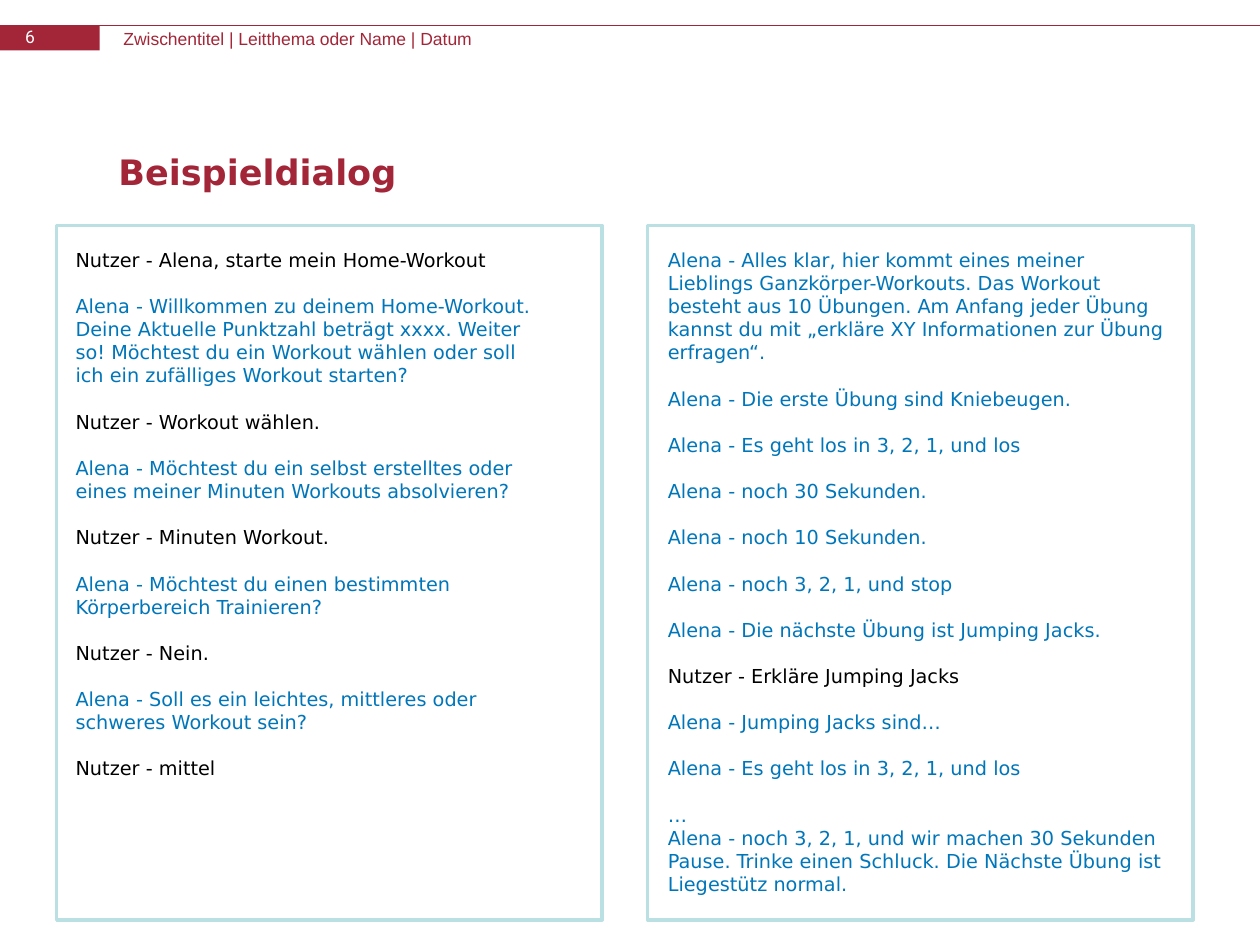
from typing import NamedTuple

from lxml.etree import SubElement
from pptx import Presentation
from pptx.dml.color import RGBColor
from pptx.enum.shapes import MSO_CONNECTOR, MSO_SHAPE
from pptx.enum.text import MSO_ANCHOR, MSO_AUTO_SIZE
from pptx.oxml.ns import qn
from pptx.util import Inches, Pt

CRIMSON = "A32638"
WHITE = "FFFFFF"
PALE_TEAL = "BBE0E3"
USER_COLOR = "000000"
ASSISTANT_COLOR = "0076BA"
DIALOG_FONT = "DejaVu Sans"


class Box(NamedTuple):
    left: float
    top: float
    width: float
    height: float

    def lengths(self):
        return [Inches(value) for value in self]


class Panel(NamedTuple):
    frame: Box
    text_area: Box
    utterances: list[str]


PANELS = [
    Panel(Box(0.45, 1.79, 4.33, 5.51), Box(0.55, 1.92, 3.77, 4.61), [
        "Nutzer - Alena, starte mein Home-Workout",
        "Alena - Willkommen zu deinem Home-Workout. Deine Aktuelle Punktzahl "
        "beträgt xxxx. Weiter so! Möchtest du ein Workout wählen oder soll "
        "ich ein zufälliges Workout starten?",
        "Nutzer - Workout wählen.",
        "Alena - Möchtest du ein selbst erstelltes oder eines meiner "
        "Minuten Workouts absolvieren?",
        "Nutzer - Minuten Workout.",
        "Alena - Möchtest du einen bestimmten Körperbereich Trainieren?",
        "Nutzer - Nein.",
        "Alena - Soll es ein leichtes, mittleres oder schweres Workout sein?",
        "Nutzer - mittel",
    ]),
    Panel(Box(5.14, 1.79, 4.33, 5.51), Box(5.25, 1.92, 4.11, 5.52), [
        "Alena - Alles klar, hier kommt eines meiner Lieblings "
        "Ganzkörper-Workouts. Das Workout besteht aus 10 Übungen. Am Anfang "
        "jeder Übung kannst du mit „erkläre XY Informationen zur Übung "
        "erfragen“.",
        "Alena - Die erste Übung sind Kniebeugen.",
        "Alena - Es geht los in 3, 2, 1, und los",
        "Alena - noch 30 Sekunden.",
        "Alena - noch 10 Sekunden.",
        "Alena - noch 3, 2, 1, und stop",
        "Alena - Die nächste Übung ist Jumping Jacks.",
        "Nutzer - Erkläre Jumping Jacks",
        "Alena - Jumping Jacks sind…",
        "Alena - Es geht los in 3, 2, 1, und los",
        "…\vAlena - noch 3, 2, 1, und wir machen 30 Sekunden Pause. Trinke "
        "einen Schluck. Die Nächste Übung ist Liegestütz normal.",
    ]),
]


def rgb(hex_color: str) -> RGBColor:
    return RGBColor.from_string(hex_color)


def add_rectangle(slide, box: Box, fill: str, outline: str | None = None):
    rectangle = slide.shapes.add_shape(MSO_SHAPE.RECTANGLE, *box.lengths())
    rectangle.shadow.inherit = False
    rectangle.fill.solid()
    rectangle.fill.fore_color.rgb = rgb(fill)
    if outline:
        rectangle.line.color.rgb = rgb(outline)
        rectangle.line.width = Pt(2)
    else:
        rectangle.line.fill.background()


def add_text_frame(slide, box: Box, inset: float = 0, wrap: bool = True):
    frame = slide.shapes.add_textbox(*box.lengths()).text_frame
    frame.word_wrap = wrap
    frame.auto_size = MSO_AUTO_SIZE.SHAPE_TO_FIT_TEXT
    frame.margin_left = frame.margin_right = Inches(inset)
    frame.margin_top = frame.margin_bottom = Inches(inset)
    return frame


def write(paragraph, text: str, font_name: str, size: float, color: str):
    paragraph.text = text
    font = paragraph.font
    font.name = font_name
    font.size = Pt(size)
    font.color.rgb = rgb(color)


def add_header(slide):
    rule = slide.shapes.add_connector(
        MSO_CONNECTOR.STRAIGHT, Inches(0), Inches(0.2), Inches(10), Inches(0.2))
    rule.line.color.rgb = rgb(CRIMSON)
    rule.line.width = Pt(0.75)
    SubElement(rule._element.spPr, qn("a:effectLst"))
    add_rectangle(slide, Box(0, 0.2, 0.79, 0.2), CRIMSON)

    subtitle = add_text_frame(slide, Box(0.98, 0.22, 6.6, 0.15))
    write(subtitle.paragraphs[0], "Zwischentitel | Leitthema oder Name | Datum",
          "Arial", 10, CRIMSON)
    page_number = add_text_frame(slide, Box(0.2, 0.21, 0.14, 0.15), wrap=False)
    write(page_number.paragraphs[0], "6", "Roboto", 10, WHITE)


def add_title(slide):
    frame = add_text_frame(slide, Box(0.89, 1, 8.53, 0.72), inset=0.05)
    frame.auto_size = MSO_AUTO_SIZE.NONE
    frame.vertical_anchor = MSO_ANCHOR.MIDDLE
    title = frame.paragraphs[0]
    write(title, "Beispieldialog", DIALOG_FONT, 20, CRIMSON)
    title.font.bold = True
    title.line_spacing = Pt(24)


def add_panel(slide, panel: Panel):
    """Draw a framed dialogue, one paragraph per utterance, coloured by speaker."""
    add_rectangle(slide, panel.frame, WHITE, PALE_TEAL)
    frame = add_text_frame(slide, panel.text_area, inset=0.05)
    for index, utterance in enumerate(panel.utterances):
        paragraph = frame.add_paragraph() if index else frame.paragraphs[0]
        is_user = utterance.startswith("Nutzer")
        write(paragraph, utterance, DIALOG_FONT, 11,
              USER_COLOR if is_user else ASSISTANT_COLOR)
        if index:
            paragraph.space_before = Pt(13.2)


def main():
    presentation = Presentation()
    presentation.slide_width = Inches(10)
    presentation.slide_height = Inches(7.5)
    slide = presentation.slides.add_slide(presentation.slide_layouts[6])
    add_header(slide)
    add_title(slide)
    for panel in PANELS:
        add_panel(slide, panel)
    presentation.save("out.pptx")


if __name__ == "__main__":
    main()
